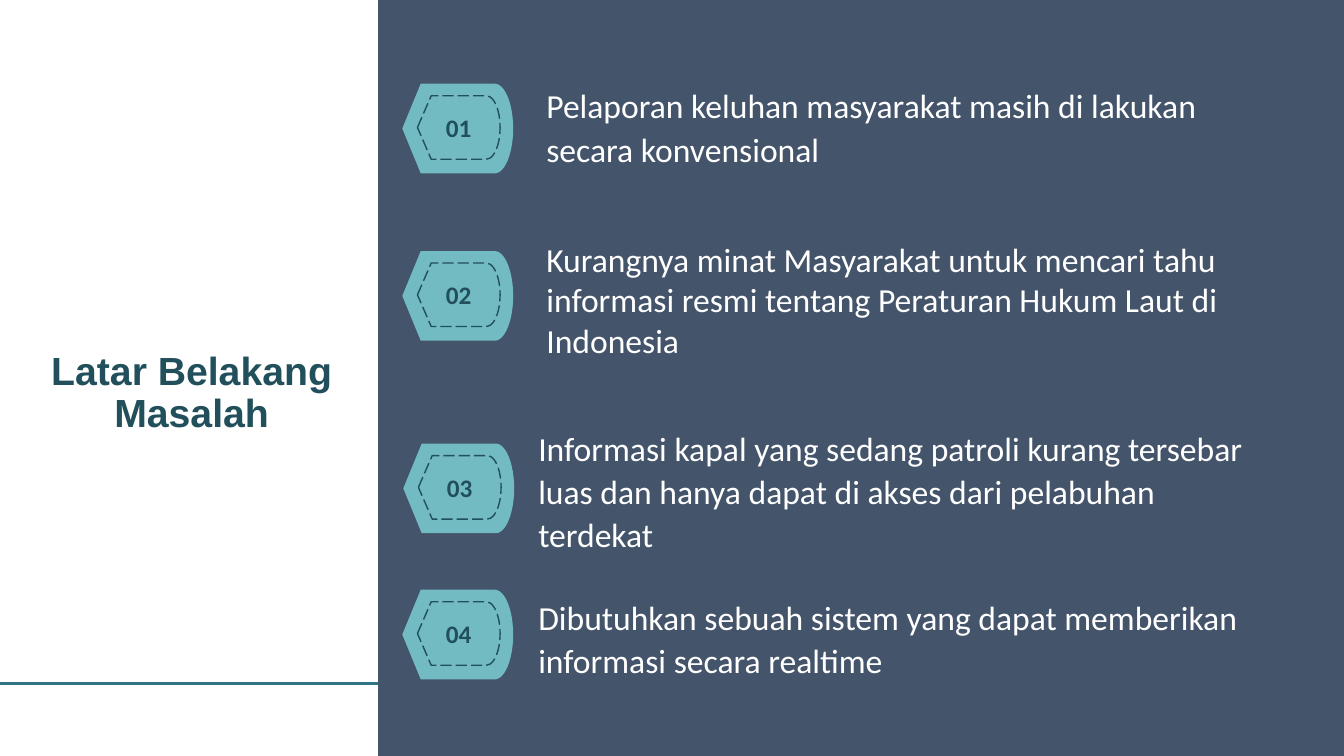
from dataclasses import dataclass

import pptx
import pptx.dml.color
import pptx.enum.dml
import pptx.enum.shapes
import pptx.enum.text
import pptx.oxml
import pptx.oxml.ns
import pptx.shapes.autoshape
import pptx.slide
import pptx.text.text
import pptx.util

PX = 9144
SLIDE_WIDTH, SLIDE_HEIGHT = 1333, 750
PANEL_LEFT = 376
RULE_TOP = 678
BADGE_WIDTH, BADGE_HEIGHT = 110, 89
INSET_WIDTH, INSET_HEIGHT = 82, 63
INSET_DX, INSET_DY = 15, 12

WHITE = pptx.dml.color.RGBColor(0xFF, 0xFF, 0xFF)
SLATE = pptx.dml.color.RGBColor(0x44, 0x54, 0x6A)
AQUA = pptx.dml.color.RGBColor(0x72, 0xBB, 0xC2)
TEAL = pptx.dml.color.RGBColor(0x30, 0x74, 0x85)
DEEP_TEAL = pptx.dml.color.RGBColor(0x21, 0x4F, 0x5B)

ALIGN = pptx.enum.text.PP_ALIGN
ANCHOR = pptx.enum.text.MSO_ANCHOR
SHAPE = pptx.enum.shapes.MSO_SHAPE


@dataclass(frozen=True)
class Problem:
    text: str
    badge_left: int
    badge_top: int
    text_left: int
    text_top: int
    text_width: int
    text_height: int
    line_spacing: float = 1.07
    space_after: int = 8


PROBLEMS = [
    Problem("Pelaporan keluhan masyarakat masih di lakukan secara konvensional",
            399, 83, 532, 77, 745, 97),
    Problem("Kurangnya minat Masyarakat untuk mencari tahu informasi resmi tentang "
            "Peraturan Hukum Laut di Indonesia",
            399, 249, 532, 232, 745, 131, line_spacing=1.0, space_after=0),
    Problem("Informasi kapal yang sedang patroli kurang tersebar luas dan hanya dapat "
            "di akses dari pelabuhan terdekat",
            400, 440, 524, 417, 745, 140),
    Problem("Dibutuhkan sebuah sistem yang dapat memberikan informasi secara realtime",
            399, 585, 524, 584, 752, 95),
]


def px(*lengths: int) -> list[pptx.util.Emu]:
    return [pptx.util.Emu(length * PX) for length in lengths]


def write(frame: pptx.text.text.TextFrame, text: str, *, size: int,
          color: pptx.dml.color.RGBColor, font: str = "Calibri", bold: bool = False,
          align: ALIGN = ALIGN.LEFT, anchor: ANCHOR = ANCHOR.TOP,
          line_spacing: float = 1.0, space_after: int = 0) -> None:
    frame.word_wrap = True
    frame.auto_size = pptx.enum.text.MSO_AUTO_SIZE.NONE
    frame.vertical_anchor = anchor
    para = frame.paragraphs[0]
    para.alignment = align
    para.line_spacing = line_spacing
    para.space_before = pptx.util.Pt(0)
    para.space_after = pptx.util.Pt(space_after)
    span = para.add_run()
    span.text = text
    span.font.name = font
    span.font.size = pptx.util.Pt(size)
    span.font.bold = bold
    span.font.color.rgb = color


def add_filled(page: pptx.slide.Slide, kind: SHAPE, left: int, top: int, width: int,
               height: int, fill: pptx.dml.color.RGBColor) -> pptx.shapes.autoshape.Shape:
    shape = page.shapes.add_shape(kind, *px(left, top, width, height))
    shape.shadow.inherit = False
    shape.fill.solid()
    shape.fill.fore_color.rgb = fill
    shape.line.fill.background()
    return shape


def add_rule(page: pptx.slide.Slide) -> None:
    rule = page.shapes.add_connector(
        pptx.enum.shapes.MSO_CONNECTOR.STRAIGHT, *px(0, RULE_TOP, PANEL_LEFT, RULE_TOP))
    rule.line.color.rgb = TEAL
    rule.line.width = pptx.util.Pt(2)
    properties = rule.element.find(pptx.oxml.ns.qn("p:spPr"))
    properties.append(pptx.oxml.parse_xml(
        f"<a:effectLst {pptx.oxml.ns.nsdecls('a')}/>"))


def add_panel(page: pptx.slide.Slide) -> None:
    panel = add_filled(page, SHAPE.RECTANGLE, PANEL_LEFT, 0,
                       SLIDE_WIDTH - PANEL_LEFT, SLIDE_HEIGHT, SLATE)
    panel.line.color.rgb = SLATE
    panel.line.width = pptx.util.Pt(1.5)


def add_title(page: pptx.slide.Slide) -> None:
    title = page.shapes.title
    title.left, title.top, title.width, title.height = px(-11, 313, 402, 125)
    write(title.text_frame, "Latar Belakang Masalah", size=28, color=DEEP_TEAL,
          font="Arial", bold=True, align=ALIGN.CENTER, anchor=ANCHOR.BOTTOM,
          line_spacing=0.9)


def add_badge(page: pptx.slide.Slide, left: int, top: int, number: int) -> None:
    add_filled(page, SHAPE.FLOWCHART_DISPLAY, left, top, BADGE_WIDTH, BADGE_HEIGHT, AQUA)
    inset = add_filled(page, SHAPE.FLOWCHART_DISPLAY, left + INSET_DX, top + INSET_DY,
                       INSET_WIDTH, INSET_HEIGHT, AQUA)
    inset.line.color.rgb = DEEP_TEAL
    inset.line.width = pptx.util.Pt(1)
    inset.line.dash_style = pptx.enum.dml.MSO_LINE.LONG_DASH
    frame = inset.text_frame
    frame.margin_left = frame.margin_right = 0
    write(frame, f"{number:02d}", size=18, color=DEEP_TEAL, bold=True,
          align=ALIGN.CENTER, anchor=ANCHOR.MIDDLE)


def add_problem(page: pptx.slide.Slide, number: int, problem: Problem) -> None:
    add_badge(page, problem.badge_left, problem.badge_top, number)
    box = page.shapes.add_textbox(*px(problem.text_left, problem.text_top,
                                      problem.text_width, problem.text_height))
    write(box.text_frame, problem.text, size=24, color=WHITE,
          line_spacing=problem.line_spacing, space_after=problem.space_after)


def main() -> None:
    deck = pptx.Presentation()
    deck.slide_width, deck.slide_height = px(SLIDE_WIDTH, SLIDE_HEIGHT)
    page = deck.slides.add_slide(deck.slide_layouts.get_by_name("Title Only"))
    add_rule(page)
    add_panel(page)
    add_title(page)
    for number, problem in enumerate(PROBLEMS, start=1):
        add_problem(page, number, problem)
    deck.save("out.pptx")


if __name__ == "__main__":
    main()
